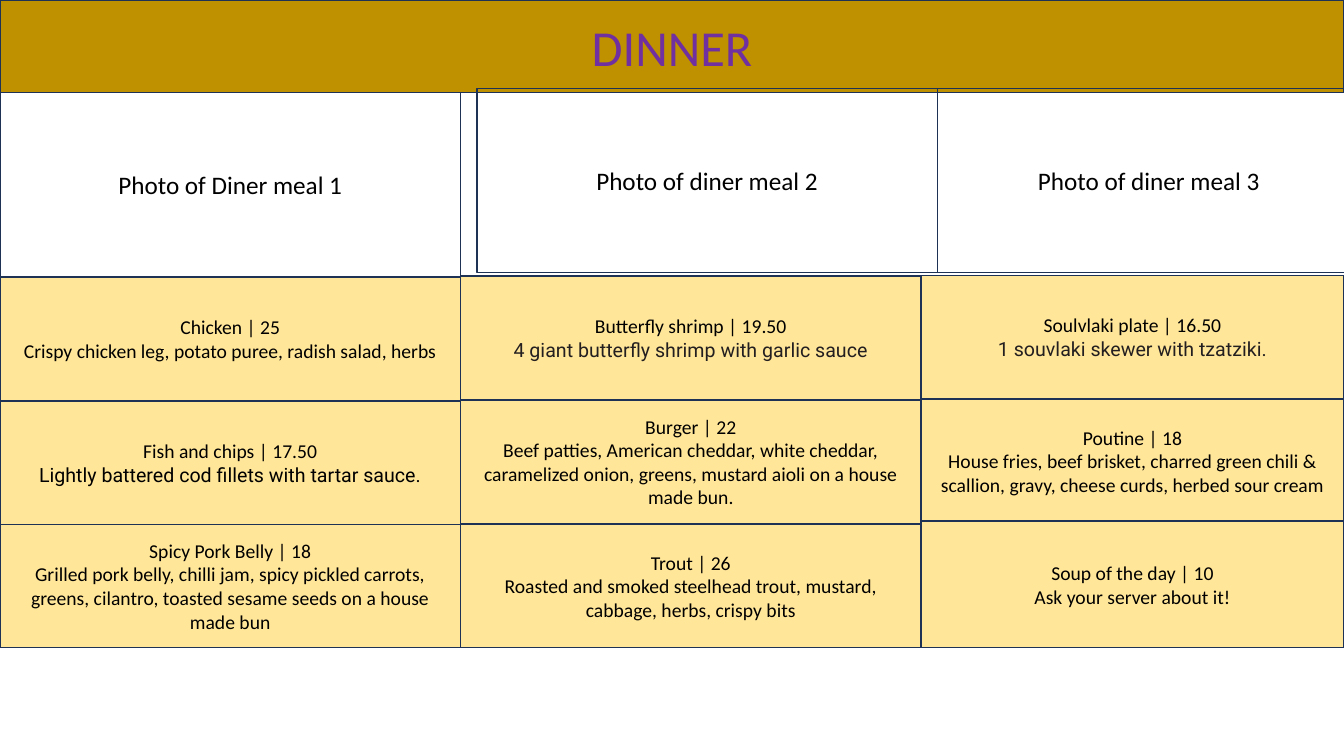
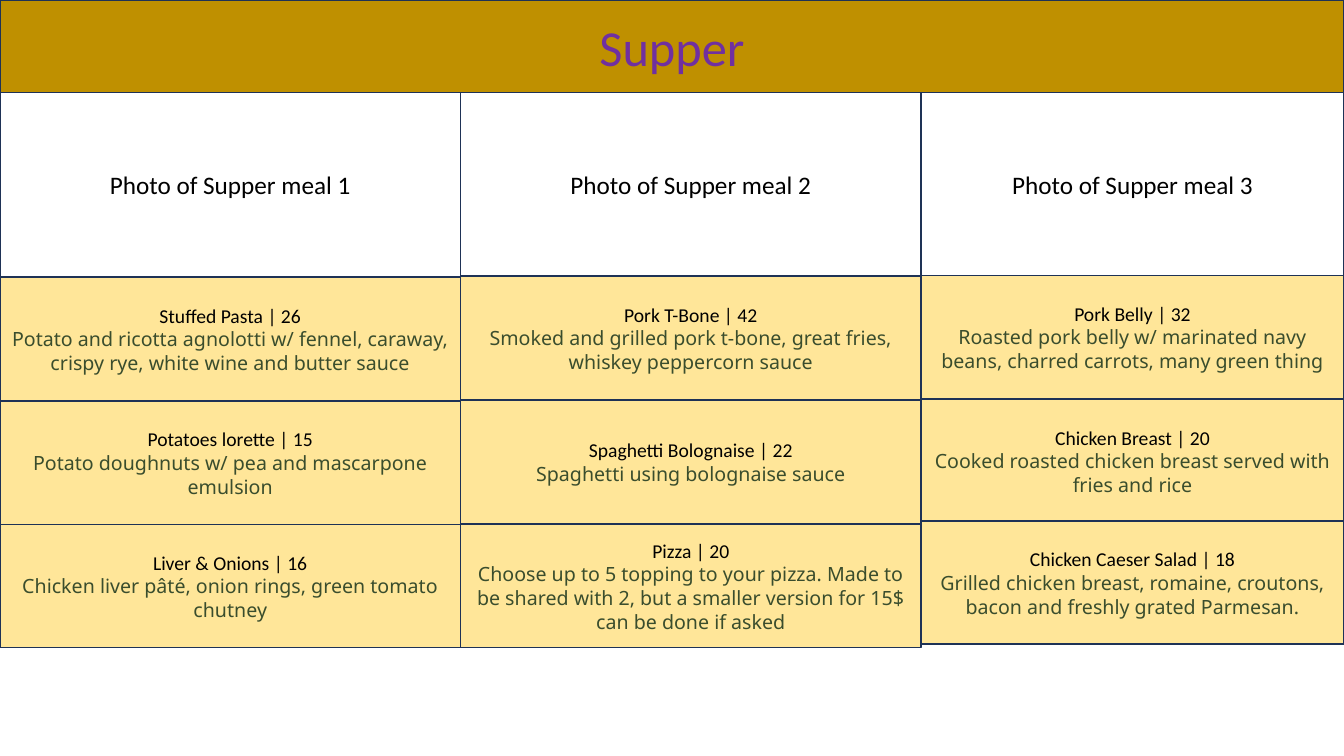
from pptx import Presentation
from pptx.dml.color import RGBColor
from pptx.enum.shapes import MSO_SHAPE
from pptx.enum.text import MSO_ANCHOR, PP_ALIGN
from pptx.util import Pt

RECTANGLE = MSO_SHAPE.RECTANGLE
MIDDLE = MSO_ANCHOR.MIDDLE
CENTER = PP_ALIGN.CENTER

PAGE_WIDTH, PAGE_HEIGHT = 960, 540
TITLE_HEIGHT = 66.2
PHOTO_HEIGHT = 131.3
DISH_HEIGHT = 88
COLUMN_LEFTS = (0, 329, 658)
COLUMN_WIDTHS = (329, 329, 302)
DISH_TOPS = ((198, 286.5, 374.5), (197.3, 285.8, 374.5), (196.6, 285.1, 372.2))

PLAIN = ("Calibri", "000000")
ROBOTO_BLACK = ("Roboto", "000000")
ROBOTO_GREY = ("Roboto", "231F20")
NOTO_GREEN = ("Noto Sans", "3A4D2D")


def color(value):
    return RGBColor.from_string(value)


class Menu:
    gold, cream, navy, purple = "BF9000", "FFE699", "1E3256", "7030A0"

    def __init__(self):
        self.deck = Presentation()
        self.deck.slide_width = Pt(PAGE_WIDTH)
        self.deck.slide_height = Pt(PAGE_HEIGHT)
        self.page = None

    def add_page(self, title):
        self.page = self.deck.slides.add_slide(self.deck.slide_layouts[6])
        self.add_box(0, 0, PAGE_WIDTH, TITLE_HEIGHT, self.gold,
                     [(title, 36, ("Calibri", self.purple))])

    def add_box(self, left, top, width, height, fill, lines):
        box = self.page.shapes.add_shape(
            RECTANGLE, Pt(left), Pt(top), Pt(width), Pt(height))
        box.shadow.inherit = False
        if fill:
            box.fill.solid()
            box.fill.fore_color.rgb = color(fill)
        else:
            box.fill.background()
        box.line.color.rgb = color(self.navy)
        box.line.width = Pt(1)
        frame = box.text_frame
        frame.word_wrap = True
        frame.vertical_anchor = MIDDLE
        for index, (text, size, (font, ink)) in enumerate(lines):
            para = frame.add_paragraph() if index else frame.paragraphs[0]
            para.alignment = CENTER
            span = para.add_run()
            span.text = text
            span.font.name = font
            span.font.size = Pt(size)
            span.font.color.rgb = color(ink)

    def add_photos(self, captions, shift):
        for column, caption in enumerate(captions):
            right, down = shift if column else (0, 0)
            self.add_box(COLUMN_LEFTS[column] + right, TITLE_HEIGHT + down,
                         COLUMN_WIDTHS[column], PHOTO_HEIGHT, None,
                         [(caption, 18, PLAIN)])

    def add_dishes(self, columns, last_height):
        for column, dishes in enumerate(columns):
            for row, (name, detail, style) in enumerate(dishes):
                is_last = column == row == 2
                self.add_box(COLUMN_LEFTS[column], DISH_TOPS[column][row],
                             COLUMN_WIDTHS[column],
                             last_height if is_last else DISH_HEIGHT, self.cream,
                             [(name, 14, PLAIN), (detail, 14, style)])


DINNER = (
    (
        ("Chicken | 25", "Crispy chicken leg, potato puree, radish salad, herbs", PLAIN),
        ("Fish and chips | 17.50", "Lightly battered cod fillets with tartar sauce.",
         ROBOTO_BLACK),
        ("Spicy Pork Belly | 18",
         "Grilled pork belly, chilli jam, spicy pickled carrots, greens, cilantro, "
         "toasted sesame seeds on a house made bun", PLAIN),
    ),
    (
        ("Butterfly shrimp | 19.50", "4 giant butterfly shrimp with garlic sauce",
         ROBOTO_GREY),
        ("Burger | 22",
         "Beef patties, American cheddar, white cheddar, caramelized onion, greens, "
         "mustard aioli on a house made bun.", PLAIN),
        ("Trout | 26",
         "Roasted and smoked steelhead trout, mustard, cabbage, herbs, crispy bits",
         PLAIN),
    ),
    (
        ("Soulvlaki plate | 16.50", "1 souvlaki skewer with tzatziki.", ROBOTO_GREY),
        ("Poutine | 18",
         "House fries, beef brisket, charred green chili & scallion, gravy, "
         "cheese curds, herbed sour cream", PLAIN),
        ("Soup of the day | 10", "Ask your server about it!", PLAIN),
    ),
)

SUPPER = (
    (
        ("Stuffed Pasta | 26",
         "Potato and ricotta agnolotti w/ fennel, caraway, crispy rye, "
         "white wine and butter sauce", NOTO_GREEN),
        ("Potatoes lorette | 15", "Potato doughnuts w/ pea and mascarpone emulsion",
         NOTO_GREEN),
        ("Liver & Onions | 16", "Chicken liver pâté, onion rings, green tomato chutney",
         NOTO_GREEN),
    ),
    (
        ("Pork T-Bone | 42",
         "Smoked and grilled pork t-bone, great fries, whiskey peppercorn sauce",
         NOTO_GREEN),
        ("Spaghetti Bolognaise | 22", "Spaghetti using bolognaise sauce", NOTO_GREEN),
        ("Pizza | 20",
         "Choose up to 5 topping to your pizza. Made to be shared with 2, "
         "but a smaller version for 15$ can be done if asked", NOTO_GREEN),
    ),
    (
        ("Pork Belly | 32",
         "Roasted pork belly w/ marinated navy beans, charred carrots, many green thing",
         NOTO_GREEN),
        ("Chicken Breast | 20", "Cooked roasted chicken breast served with fries and rice",
         NOTO_GREEN),
        ("Chicken Caeser Salad | 18",
         "Grilled chicken breast, romaine, croutons, bacon and freshly grated Parmesan.",
         NOTO_GREEN),
    ),
)


def main():
    menu = Menu()
    menu.add_page("DINNER")
    menu.add_photos(("Photo of Diner meal 1", "Photo of diner meal 2",
                     "Photo of diner meal 3"), (11.6, -2.8))
    menu.add_dishes(DINNER, 90.5)
    menu.add_page("Supper")
    menu.add_photos([f"Photo of Supper meal {number}" for number in (1, 2, 3)], (0, 0))
    menu.add_dishes(SUPPER, DISH_HEIGHT)
    menu.deck.save("out.pptx")


if __name__ == "__main__":
    main()
